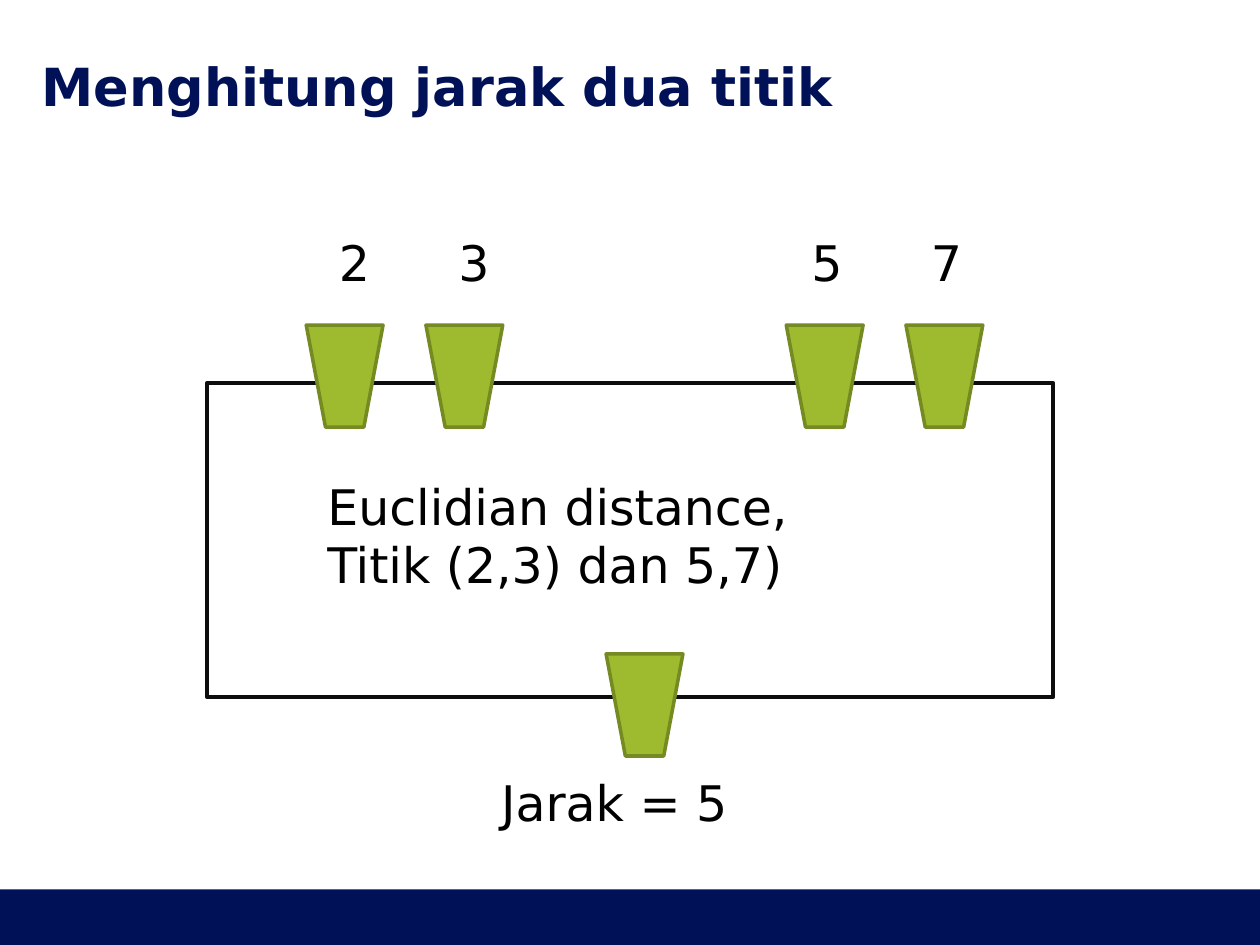
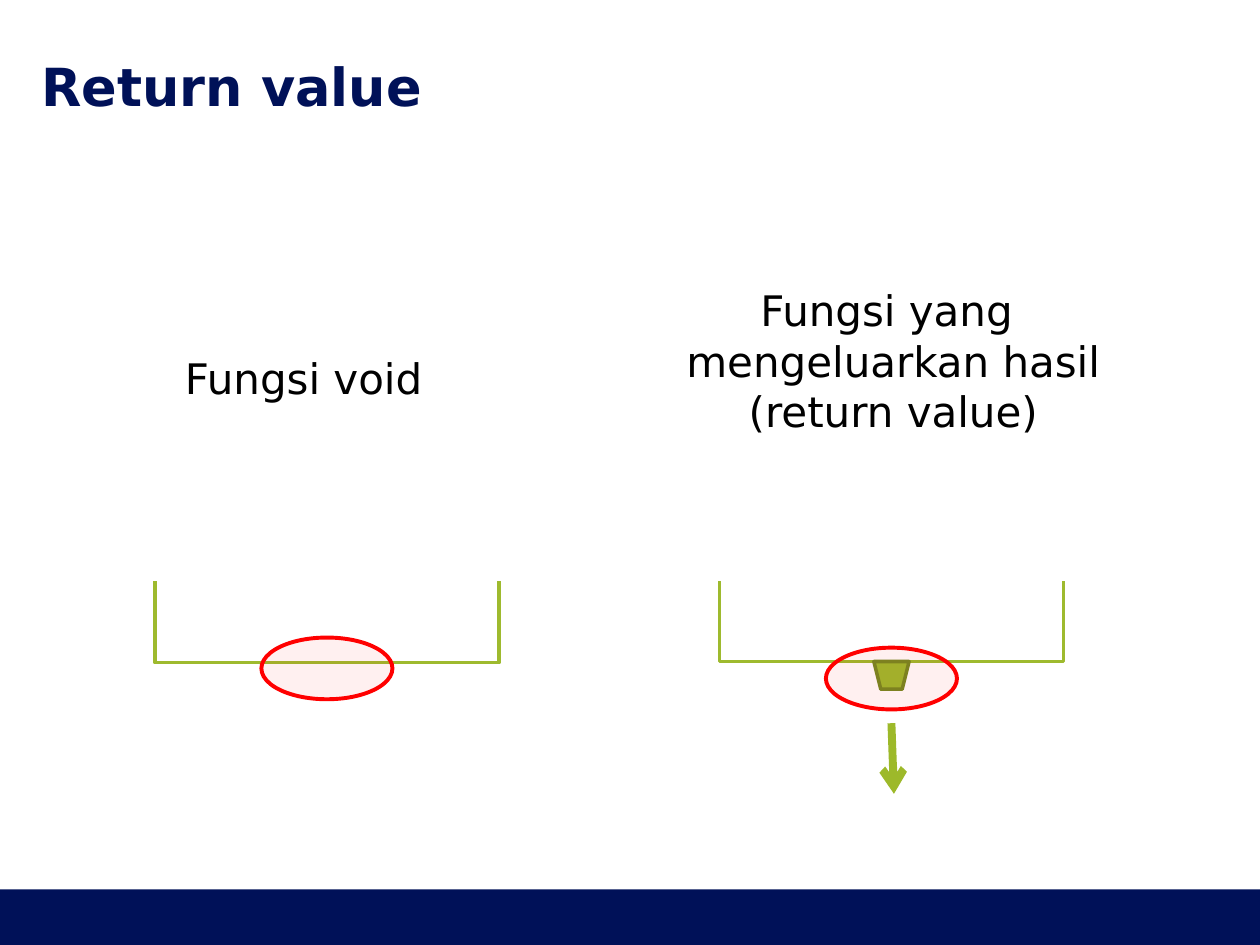
from lxml import etree
from pptx import Presentation
from pptx.dml.color import RGBColor
from pptx.enum.shapes import MSO_CONNECTOR, MSO_SHAPE
from pptx.enum.text import MSO_ANCHOR, MSO_AUTO_SIZE, PP_ALIGN
from pptx.oxml.ns import qn
from pptx.util import Inches, Pt

RECTANGLE, TRAPEZOID, OVAL = MSO_SHAPE.RECTANGLE, MSO_SHAPE.TRAPEZOID, MSO_SHAPE.OVAL
STRAIGHT = MSO_CONNECTOR.STRAIGHT
MIDDLE = MSO_ANCHOR.MIDDLE
LEFT, CENTER = PP_ALIGN.LEFT, PP_ALIGN.CENTER
FIT_SHAPE, NO_FIT = MSO_AUTO_SIZE.SHAPE_TO_FIT_TEXT, MSO_AUTO_SIZE.NONE

FONT = "DejaVu Sans"
NAVY = RGBColor(0x00, 0x11, 0x58)
GREEN = RGBColor(0x9E, 0xBA, 0x2E)
DARK_GREEN = RGBColor(0x75, 0x8A, 0x22)
ARROW_GREEN = RGBColor(0x9D, 0xB9, 0x2A)
RED = RGBColor(0xFF, 0x00, 0x00)
WHITE = RGBColor(0xFF, 0xFF, 0xFF)
BLACK = RGBColor(0x00, 0x00, 0x00)
NEAR_BLACK = RGBColor(0x0D, 0x0D, 0x0D)


def inches(*values):
    return [Inches(value) for value in values]


def add_shape(page, kind, box, fill=None, line=None, weight=2):
    shape = page.shapes.add_shape(kind, *inches(*box))
    shape.shadow.inherit = False
    if fill is None:
        shape.fill.background()
    else:
        shape.fill.solid()
        shape.fill.fore_color.rgb = fill
    if line is None:
        shape.line.fill.background()
    else:
        shape.line.color.rgb = line
        shape.line.width = Pt(weight)
    return shape


def add_label(page, box, lines, size, align=LEFT, wrap=False):
    frame = page.shapes.add_textbox(*inches(*box)).text_frame
    frame.word_wrap = wrap
    frame.auto_size = FIT_SHAPE
    frame.text = "\n".join(lines)
    for para in frame.paragraphs:
        para.alignment = align
        para.font.name = FONT
        para.font.size = Pt(size)
        para.font.color.rgb = BLACK


def add_port(page, box):
    add_shape(page, TRAPEZOID, box, GREEN, DARK_GREEN).rotation = 180


def add_highlight(page, box):
    ellipse = add_shape(page, OVAL, box, RED, RED, 2.25)
    color = ellipse.element.spPr.find(qn("a:solidFill")).find(qn("a:srgbClr"))
    etree.SubElement(color, qn("a:alpha")).set("val", "6000")


def add_arrow(page, start, end):
    arrow = page.shapes.add_connector(STRAIGHT, *inches(*start, *end))
    arrow.line.color.rgb = ARROW_GREEN
    arrow.line.width = Pt(4.5)
    line = arrow.element.spPr.find(qn("a:ln"))
    etree.SubElement(line, qn("a:tailEnd")).set("type", "arrow")
    etree.SubElement(arrow.element.spPr, qn("a:effectLst"))


def add_page(deck, heading):
    page = deck.slides.add_slide(deck.slide_layouts[5])
    add_shape(page, RECTANGLE, (0, 7.06, 10, 0.44), NAVY)
    title = page.shapes.title
    title.left, title.top, title.width, title.height = inches(0.33, 0.44, 9.34, 0.47)
    frame = title.text_frame
    frame.text = heading
    frame.auto_size = NO_FIT
    frame.vertical_anchor = MIDDLE
    frame.margin_left = frame.margin_top = frame.margin_right = frame.margin_bottom = 0
    para = frame.paragraphs[0]
    para.alignment = LEFT
    para.font.name = FONT
    para.font.size = Pt(30)
    para.font.bold = True
    para.font.color.rgb = NAVY
    return page


def add_distance_machine(page, box):
    left, top, width, height = box
    port_width, port_height, pitch = 0.61, 0.81, 0.95
    add_shape(page, RECTANGLE, box, None, NEAR_BLACK, 2.25)
    points = [(0.79, 0.16, "23"), (4.6, 0.1, "57")]
    for offset, label_shift, digits in points:
        for index, digit in enumerate(digits):
            x = left + offset + index * pitch
            add_port(page, (x, top - 0.46, port_width, port_height))
            add_label(page, (x + label_shift, top - 1.24, 0.45, 0.57), [digit], 28)
    bottom = top + height
    add_port(page, (left + 3.17, bottom - 0.34, port_width, port_height))
    add_label(page, (left + 2.24, bottom + 0.55, 2.1, 0.57), ["Jarak = 5"], 28)
    add_label(page, (left + 0.86, top + 0.69, 5.66, 1.04),
              ["Euclidian distance, ", "Titik (2,3) dan 5,7)"], 28, wrap=True)


def add_function_boxes(page, boxes, has_output):
    for box, returns in zip(boxes, has_output):
        left, top, width, height = box
        add_shape(page, RECTANGLE, box, WHITE, GREEN)
        if returns:
            add_port(page, (left + (width - 0.28) / 2, top + height, 0.28, 0.22))
    add_shape(page, RECTANGLE, (0, 2.64, 10, 1.97), WHITE)
    for box, returns in zip(boxes, has_output):
        left, top, width, height = box
        center, bottom = left + width / 2, top + height
        rise = 0.11 if returns else 0.2
        add_highlight(page, (center - 0.52, bottom - rise, 1.04, 0.49))
        if returns:
            add_arrow(page, (center, bottom + 0.49), (center + 0.02, bottom + 1.05))


deck = Presentation()
deck.slide_width, deck.slide_height = inches(10, 7.5)

distance_page = add_page(deck, "Menghitung jarak dua titik")
add_distance_machine(distance_page, (1.64, 3.04, 6.72, 2.49))

return_page = add_page(deck, "Return value")
add_function_boxes(return_page, [(1.23, 3.72, 2.73, 1.54), (5.71, 3.71, 2.73, 1.54)],
                   [False, True])
add_label(return_page, (1.37, 2.75, 2.13, 0.5), ["Fungsi void"], 24)
add_label(return_page, (5.33, 2.21, 3.52, 1.31),
          ["Fungsi yang ", "mengeluarkan hasil", "(return value)"], 24, CENTER)

deck.save("out.pptx")
